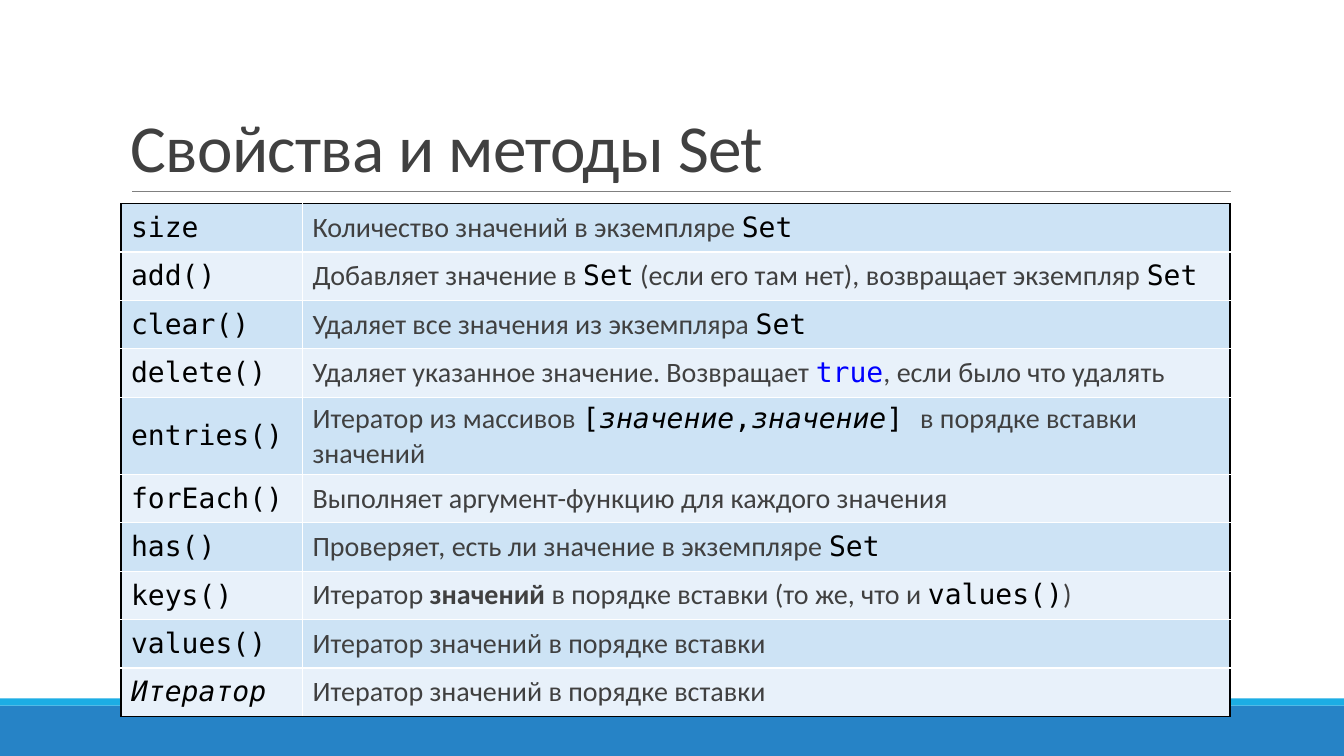
"""Build a slide that lists the properties and methods of Set."""
from lxml import etree
from pptx import Presentation
from pptx.dml.color import RGBColor
from pptx.enum.shapes import MSO_CONNECTOR, MSO_SHAPE
from pptx.enum.text import MSO_ANCHOR
from pptx.oxml.ns import qn
from pptx.util import Inches, Pt

RECT, LINE = MSO_SHAPE.RECTANGLE, MSO_CONNECTOR.STRAIGHT
MIDDLE, BOTTOM = MSO_ANCHOR.MIDDLE, MSO_ANCHOR.BOTTOM

COLORS = {"text": "404040", "code": "000000", "key": "0000FF", "edge": "000000",
          "grid": "FFFFFF", "rule": "808080", "foot": "2683C6", "strip": "1CADE4",
          "odd": "CDE3F5", "even": "E8F1FA"}
BODY, MONO = "Calibri", "DejaVu Sans Mono"
STYLES = {
    "text": {"font": BODY, "color": "text"},
    "bold": {"font": BODY, "color": "text", "bold": True},
    "code": {"font": MONO, "color": "code"},
    "slant": {"font": MONO, "color": "code", "italic": True},
    "key": {"font": MONO, "color": "key"},
}

TITLE = "Свойства и методы Set"
SET = ("Set", "code")
VALUE = ("значение", "slant")
ORDER = [("Итератор значений в порядке вставки", "text")]
ROWS = [
    (("size", "code"), [("Количество значений в экземпляре ", "text"), SET]),
    (("add()", "code"), [("Добавляет значение в ", "text"), SET,
                         (" (если его там нет), возвращает экземпляр ", "text"), SET]),
    (("clear()", "code"), [("Удаляет все значения из экземпляра ", "text"), SET]),
    (("delete()", "code"), [("Удаляет указанное значение. Возвращает ", "text"),
                            ("true", "key"), (", если было что удалять", "text")]),
    (("entries()", "code"), [("Итератор из массивов ", "text"), ("[", "code"), VALUE,
                             (",", "code"), VALUE, ("] ", "code"),
                             ("в порядке вставки значений", "text")]),
    (("forEach()", "code"), [("Выполняет аргумент-функцию для каждого значения", "text")]),
    (("has()", "code"), [("Проверяет, есть ли значение в экземпляре ", "text"), SET]),
    (("keys()", "code"), [("Итератор ", "text"), ("значений ", "bold"),
                          ("в порядке вставки (то же, что и ", "text"),
                          ("values()", "code"), (")", "text")]),
    (("values()", "code"), ORDER),
    (("Итератор", "slant"), ORDER),
]

WIDTH, HEIGHT = 13.33, 7.5
LEFT, TOP, ROW = 1.2, 2.02, 0.48
COLS = (1.8, 9.2)
BARS = [("foot", 7, 0.5), ("strip", 6.93, 0.07)]


def rgb(name):
    return RGBColor.from_string(COLORS[name])


def write(para, text, size=20, font=BODY, color="text", bold=False, italic=False, space=None):
    run = para.add_run()
    run.text = text
    face = run.font
    face.size, face.name, face.bold, face.italic = Pt(size), font, bold, italic
    face.color.rgb = rgb(color)
    if space is not None:
        face._element.set("spc", str(space))


def draw_base(slide):
    for name, top, high in BARS:
        bar = slide.shapes.add_shape(RECT, 0, Inches(top), Inches(WIDTH), Inches(high))
        bar.shadow.inherit = False
        bar.fill.solid()
        bar.fill.fore_color.rgb = rgb(name)
        bar.line.fill.background()
    rule = slide.shapes.add_connector(LINE, Inches(1.31), Inches(1.9),
                                      Inches(12.21), Inches(1.9))
    rule.line.color.rgb = rgb("rule")
    rule.line.width = Pt(0.5)
    etree.SubElement(rule._element.spPr, qn("a:effectLst"))


def draw_title(slide):
    box = slide.shapes.add_textbox(Inches(LEFT), Inches(0.31), Inches(sum(COLS)), Inches(1.59))
    frame = box.text_frame
    frame.word_wrap = True
    frame.vertical_anchor = BOTTOM
    para = frame.paragraphs[0]
    para.line_spacing = 0.85
    write(para, TITLE, size=48, space=-50)


def set_edges(cell, outer):
    props = cell._tc.get_or_add_tcPr()
    for spot, (tag, out) in enumerate(outer.items()):
        line = etree.Element(qn("a:" + tag), w=str(Pt(1)))
        fill = etree.SubElement(line, qn("a:solidFill"))
        etree.SubElement(fill, qn("a:srgbClr"), val=COLORS["edge" if out else "grid"])
        props.insert(spot, line)


def draw_table(slide):
    count = len(ROWS)
    table = slide.shapes.add_table(count, len(COLS), Inches(LEFT), Inches(TOP),
                                   Inches(sum(COLS)), Inches(ROW * count)).table
    table.first_row = table.horz_banding = False
    for col, wide in zip(table.columns, COLS):
        col.width = Inches(wide)
    for r, (name, note) in enumerate(ROWS):
        table.rows[r].height = Inches(ROW)
        for c, parts in enumerate(([name], note)):
            cell = table.cell(r, c)
            cell.vertical_anchor = MIDDLE
            cell.fill.solid()
            cell.fill.fore_color.rgb = rgb("even" if r % 2 else "odd")
            set_edges(cell, {"lnL": c == 0, "lnR": c == len(COLS) - 1,
                             "lnT": r == 0, "lnB": r == count - 1})
            for text, style in parts:
                write(cell.text_frame.paragraphs[0], text, **STYLES[style])


def main():
    deck = Presentation()
    deck.slide_width, deck.slide_height = Inches(WIDTH), Inches(HEIGHT)
    slide = deck.slides.add_slide(deck.slide_layouts[6])
    draw_base(slide)
    draw_title(slide)
    draw_table(slide)
    deck.save("out.pptx")


if __name__ == "__main__":
    main()
